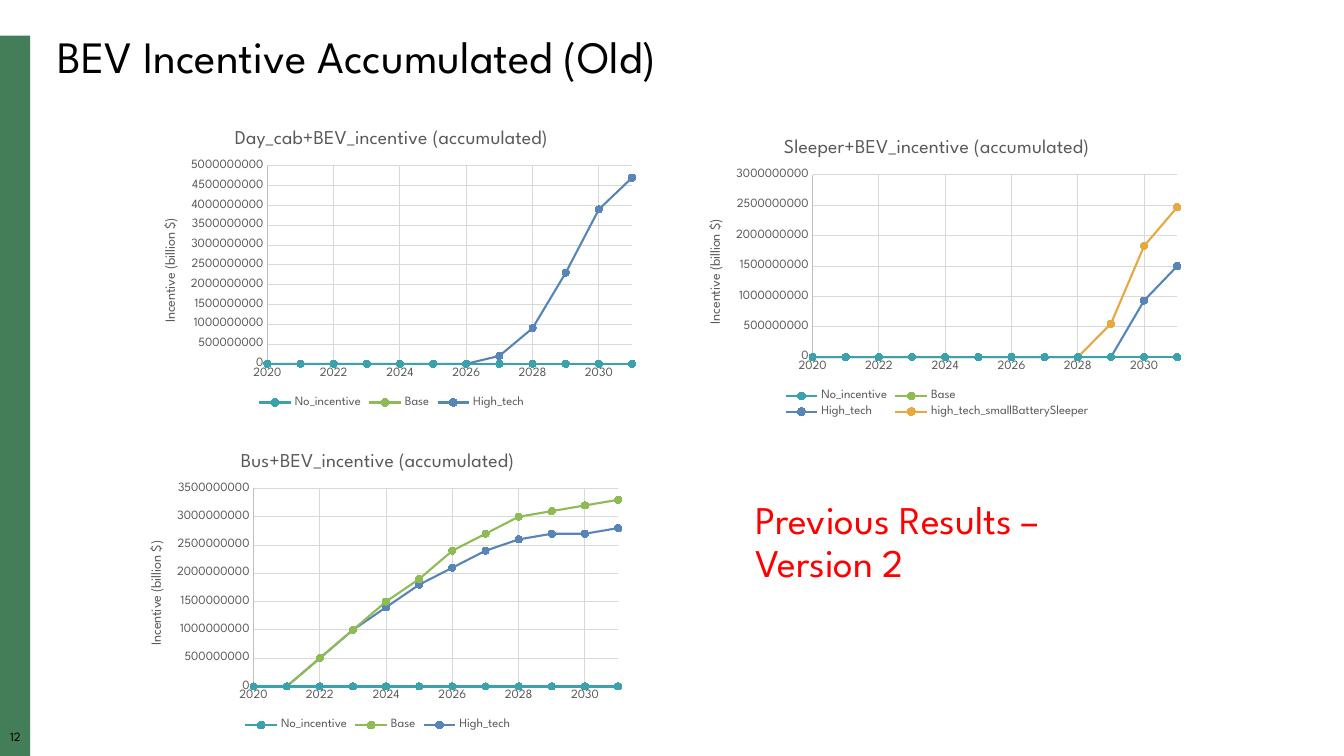
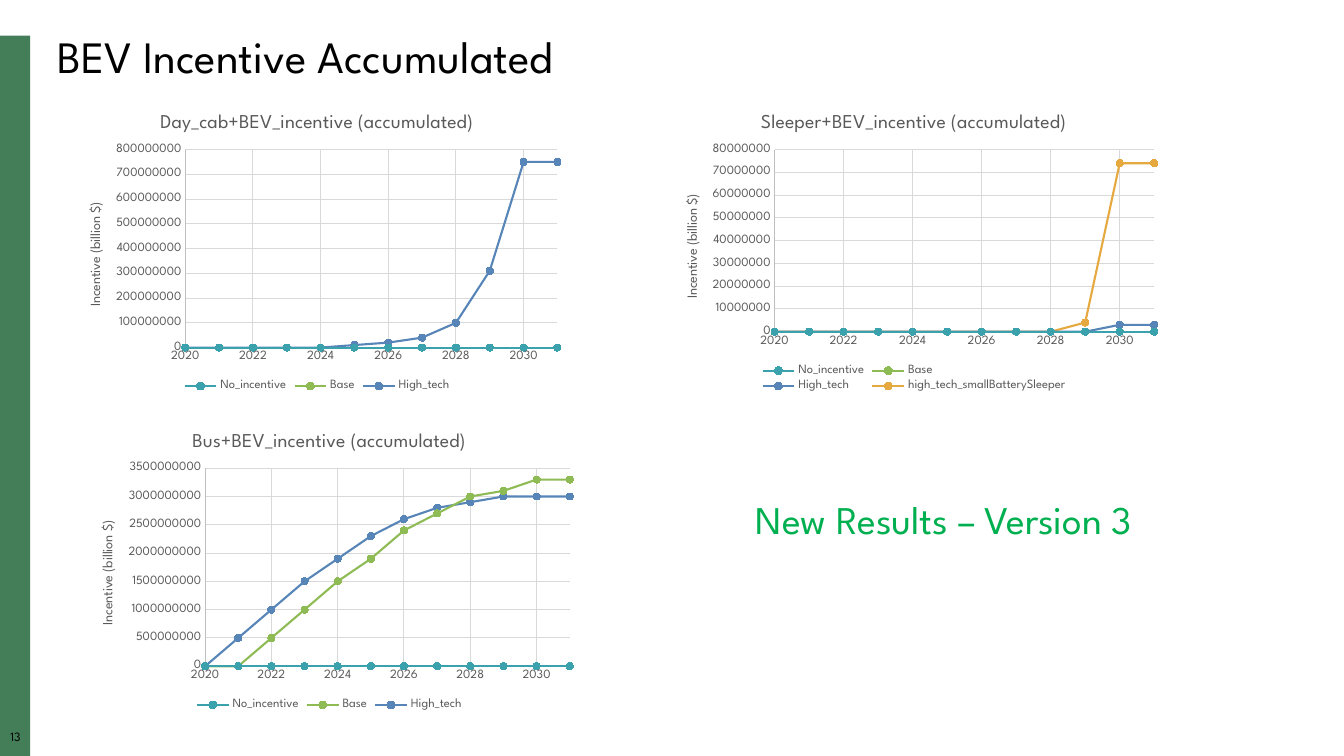
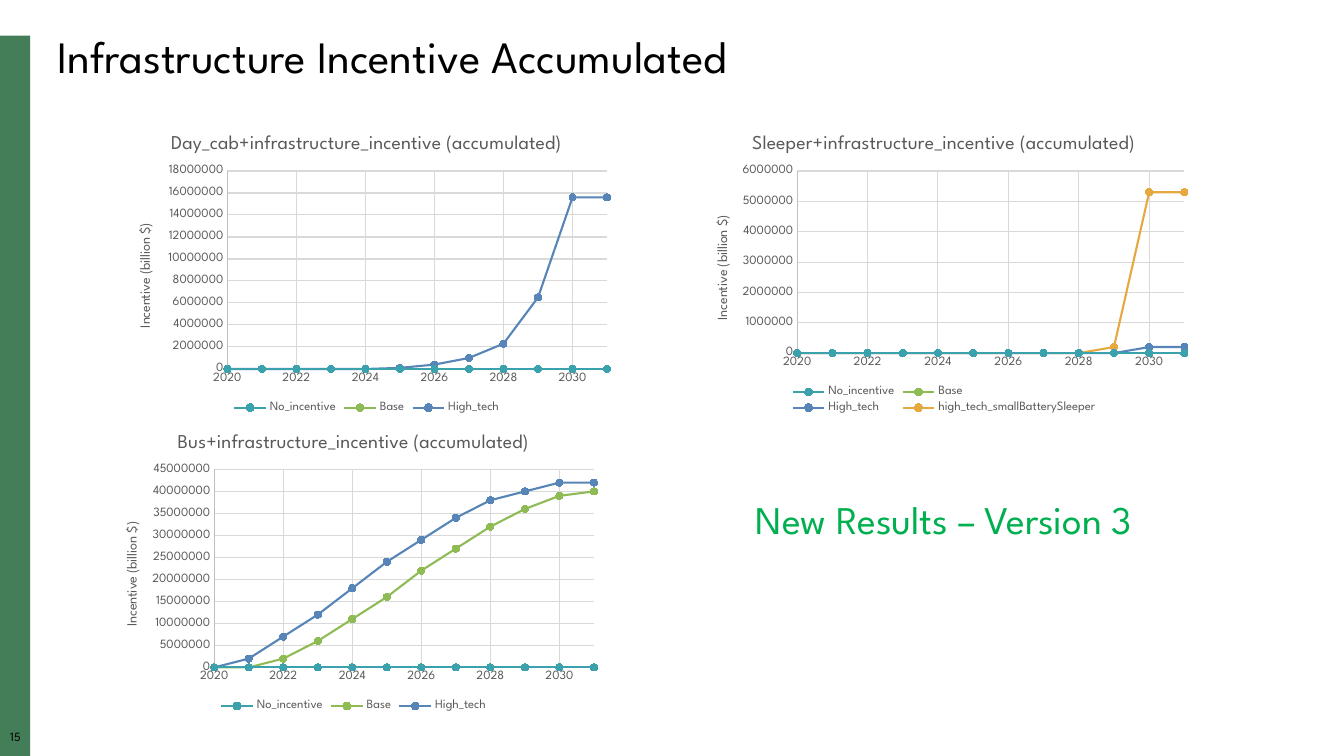
"""Build three slides of accumulated incentive charts."""
from lxml import etree
from pptx import Presentation
from pptx.chart.data import XyChartData
from pptx.dml.color import RGBColor
from pptx.enum import chart as kinds, shapes, text
from pptx.oxml import ns
from pptx.util import Cm, Pt

FONT = "League Spartan"
HEX = {"band": "447E59", "ink": "000000", "gray": "595959", "axis": "BFBFBF",
       "grid": "D9D9D9", "old": "FF0000", "new": "00B050"}
LINES = [("No_incentive", "3BA2AD"), ("Base", "8FBB55"), ("High_tech", "5785B7"),
         ("high_tech_smallBatterySleeper", "E5A940")]
START, END = 2020, 2031
WIDE, HIGH = 12.68, 7.52
ZERO = [0] * 12
OLD = ("Previous Results – Version 2", "old")
NEW = ("New Results – Version 3", "new")

SLIDES = [
    {"title": "BEV Incentive Accumulated (Old)", "page": "12", "topic": "BEV", "note": OLD,
     "charts": [
         ("Sleeper", 17.27, 3.1, 10_000_000, [
             ZERO, ZERO,
             [0, 0, 0, 0, 0, 0, 0, 0, 0, 0, 93, 150],
             [0, 0, 0, 0, 0, 0, 0, 0, 0, 55, 183, 247]]),
         ("Bus", 3.18, 11, 100_000_000, [
             ZERO,
             [0, 0, 5, 10, 15, 19, 24, 27, 30, 31, 32, 33],
             [0, 0, 5, 10, 14, 18, 21, 24, 26, 27, 27, 28]]),
         ("Day_cab", 3.53, 2.87, 100_000_000, [
             ZERO, ZERO,
             [0, 0, 0, 0, 0, 0, 0, 2, 9, 23, 39, 47]])]},
    {"title": "BEV Incentive Accumulated", "page": "13", "topic": "BEV", "note": NEW,
     "charts": [
         ("Day_cab", 1.65, 2.46, 10_000_000, [
             ZERO, ZERO,
             [0, 0, 0, 0, 0, 1, 2, 4, 10, 31, 75, 75]]),
         ("Sleeper", 16.69, 2.46, 1_000_000, [
             ZERO, ZERO,
             [0, 0, 0, 0, 0, 0, 0, 0, 0, 0, 3, 3],
             [0, 0, 0, 0, 0, 0, 0, 0, 0, 4, 74, 74]]),
         ("Bus", 1.96, 10.49, 100_000_000, [
             ZERO,
             [0, 0, 5, 10, 15, 19, 24, 27, 30, 31, 33, 33],
             [0, 5, 10, 15, 19, 23, 26, 28, 29, 30, 30, 30]])]},
    {"title": "Infrastructure Incentive Accumulated", "page": "15",
     "topic": "infrastructure", "note": NEW,
     "charts": [
         ("Day_cab", 2.9, 3, 100_000, [
             ZERO, ZERO,
             [0, 0, 0, 0, 0, 1, 4, 10, 23, 65, 156, 156]]),
         ("Sleeper", 17.45, 3, 100_000, [
             ZERO, ZERO,
             [0, 0, 0, 0, 0, 0, 0, 0, 0, 0, 2, 2],
             [0, 0, 0, 0, 0, 0, 0, 0, 0, 2, 53, 53]]),
         ("Bus", 2.57, 10.52, 1_000_000, [
             ZERO,
             [0, 0, 2, 6, 11, 16, 22, 27, 32, 36, 39, 40],
             [0, 2, 7, 12, 18, 24, 29, 34, 38, 40, 42, 42]])]},
]


def rgb(code):
    return RGBColor.from_string(code)


def style(font, size, color):
    font.name, font.size, font.bold = FONT, Pt(size), False
    font.color.rgb = rgb(HEX[color])


def write(slide, words, box, size, color, align=None, inset=None):
    frame = slide.shapes.add_textbox(*map(Cm, box)).text_frame
    frame.word_wrap = True
    if inset is not None:
        frame.margin_left = frame.margin_right = Cm(inset)
        frame.margin_top = frame.margin_bottom = Cm(inset)
    frame.text = words
    para = frame.paragraphs[0]
    para.line_spacing = 0.9
    para.alignment = align
    style(para.runs[0].font, size, color)


def place(parent, index, **parts):
    for old in parent.findall(ns.qn("c:layout")):
        parent.remove(old)
    layout = etree.Element(ns.qn("c:layout"))
    manual = etree.SubElement(layout, ns.qn("c:manualLayout"))
    for tag, value in parts.items():
        val = value if isinstance(value, str) else f"{value:.4f}"
        etree.SubElement(manual, ns.qn("c:" + tag)).set("val", val)
    parent.insert(index, layout)


def dress(axis):
    axis.has_major_gridlines = True
    for line, color in ((axis.major_gridlines.format.line, "grid"),
                        (axis.format.line, "axis")):
        line.color.rgb = rgb(HEX[color])
        line.width = Pt(0.75)
    axis.major_tick_mark = axis.minor_tick_mark = kinds.XL_TICK_MARK.NONE
    labels = axis.tick_labels
    labels.number_format, labels.number_format_is_linked = "0", False
    style(labels.font, 9, "gray")


def arrange(chart, title, peak, rows):
    left, top = 1.31 + 0.19 * len(str(peak)), 1.31
    tall = 4.99 if rows < 4 else 4.59
    area = chart.plots[0]._element.getparent()
    place(area, 0, layoutTarget="inner", xMode="edge", yMode="edge",
          x=left / WIDE, y=top / HIGH, w=(WIDE - left - 0.28) / WIDE, h=tall / HIGH)
    place(title._element, 1, xMode="edge", yMode="edge",
          x=0.53 / WIDE, y=(top + tall / 2 - 1.24) / HIGH)


def plot(slide, topic, name, left, top, unit, table):
    data = XyChartData()
    for (label, _), row in zip(LINES, table):
        series = data.add_series(label)
        for year, value in enumerate(row, START):
            series.add_data_point(year, value * unit)
    chart = slide.shapes.add_chart(
        kinds.XL_CHART_TYPE.XY_SCATTER_LINES,
        Cm(left), Cm(top), Cm(WIDE), Cm(HIGH), data).chart
    style(chart.font, 10, "ink")
    chart.has_title = True
    head = chart.chart_title.text_frame
    head.text = f"{name}+{topic}_incentive (accumulated)"
    style(head.paragraphs[0].runs[0].font, 14, "gray")
    chart.has_legend = True
    chart.legend.position = kinds.XL_LEGEND_POSITION.BOTTOM
    chart.legend.include_in_layout = False
    style(chart.legend.font, 9, "gray")

    years, money = chart.category_axis, chart.value_axis
    dress(years)
    dress(money)
    years.minimum_scale, years.maximum_scale = START, END
    title = money.axis_title
    frame = title.text_frame
    frame.text = "Incentive (billion $)"
    frame._txBody.bodyPr.set("rot", "-5400000")
    style(frame.paragraphs[0].runs[0].font, 10, "gray")

    chart.plots[0].vary_by_categories = False
    for series, (_, color) in zip(chart.plots[0].series, LINES):
        series.format.line.color.rgb = rgb(color)
        series.format.line.width = Pt(1.5)
        mark = series.marker
        mark.style, mark.size = kinds.XL_MARKER_STYLE.CIRCLE, 5
        mark.format.fill.solid()
        mark.format.fill.fore_color.rgb = rgb(color)
        mark.format.line.color.rgb = rgb(color)
    arrange(chart, title, max(map(max, table)) * unit, len(table))


def frame_page(slide, title, page):
    band = slide.shapes.add_shape(shapes.MSO_SHAPE.RECTANGLE,
                                  *map(Cm, (0, 0.9, 0.76, 18.15)))
    band.shadow.inherit = False
    band.fill.solid()
    band.fill.fore_color.rgb = rgb(HEX["band"])
    band.line.fill.background()
    write(slide, page, (0, 18.42, 0.78, 0.43), 9, "ink", text.PP_ALIGN.CENTER, 0)
    write(slide, title, (1.2, 0.76, 31.75, 1.5), 32, "ink")


def main():
    deck = Presentation()
    deck.slide_width, deck.slide_height = Cm(33.87), Cm(19.05)
    for item in SLIDES:
        slide = deck.slides.add_slide(deck.slide_layouts[6])
        frame_page(slide, item["title"], item["page"])
        for spot in item["charts"]:
            plot(slide, item["topic"], *spot)
        words, color = item["note"]
        write(slide, words, (18.8, 12.5, 10.31, 2.41), 28, color)
    deck.save("out.pptx")


if __name__ == "__main__":
    main()
